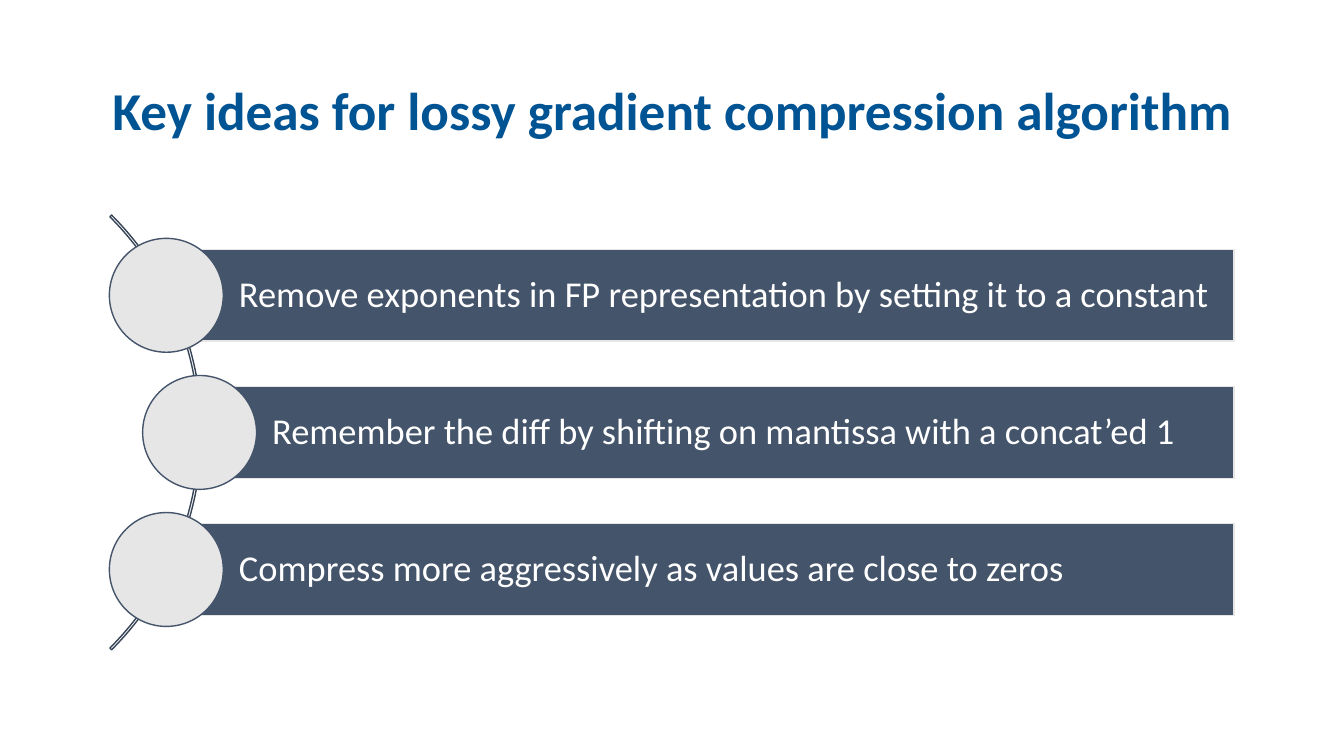
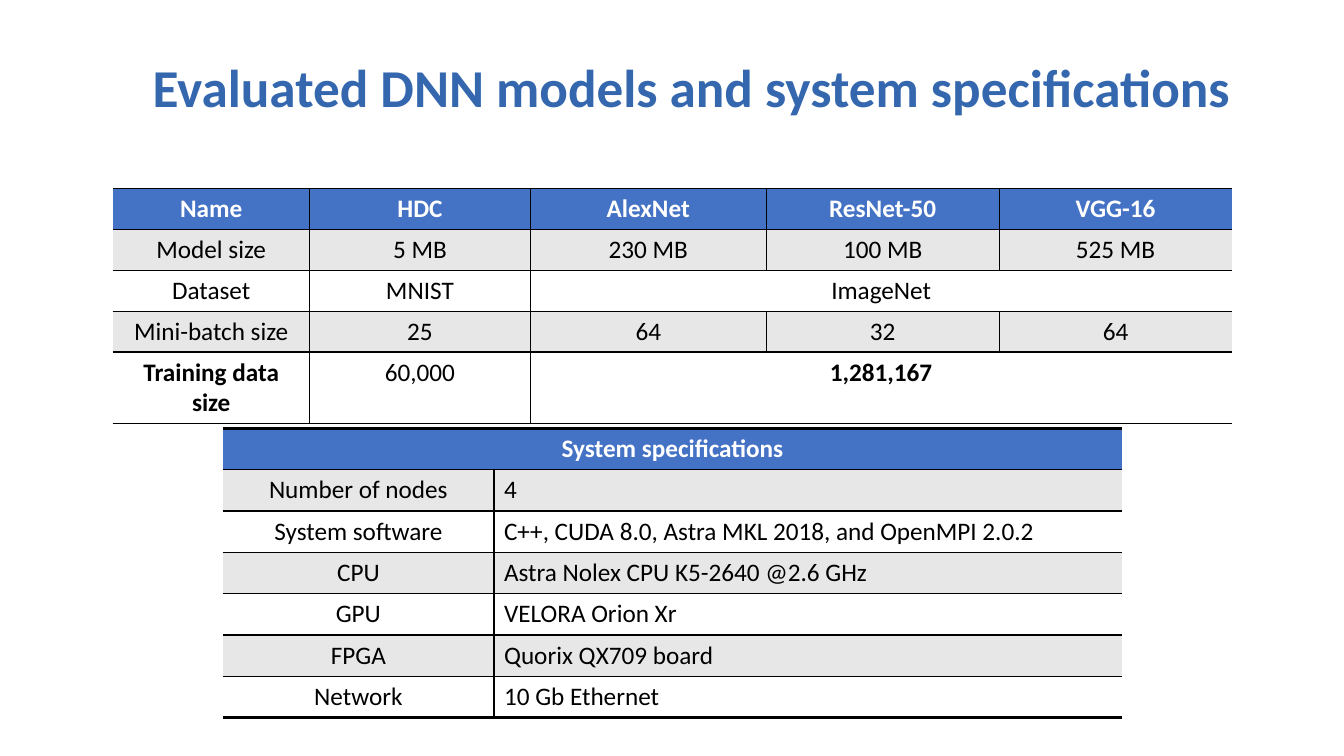
from dataclasses import dataclass

from lxml import etree
from pptx import Presentation
from pptx.dml.color import RGBColor
from pptx.enum import shapes, text
from pptx.oxml.ns import qn
from pptx.util import Inches, Pt


@dataclass(frozen=True)
class Theme:
    font: str = "Calibri"
    title_size: int = 38
    bar_size: int = 26
    table_size: int = 18
    deep_blue: str = "005493"
    mid_blue: str = "3467AE"
    header: str = "4472C4"
    slate: str = "44546A"
    arc_edge: str = "364355"
    pale: str = "E7E6E6"
    band: str = "E7E7E7"
    white: str = "FFFFFF"
    black: str = "000000"


CENTER, LEFT = text.PP_ALIGN.CENTER, text.PP_ALIGN.LEFT
MIDDLE = text.MSO_ANCHOR.MIDDLE


class Deck:
    def __init__(self, theme):
        self.theme = theme
        self.prs = Presentation()
        self.prs.slide_width, self.prs.slide_height = Inches(13.33), Inches(7.5)
        self.slide = None

    def new_slide(self, title, box, color, spacing=1.0):
        self.slide = self.prs.slides.add_slide(self.prs.slide_layouts[5])
        heading = self.slide.shapes.title
        heading.left, heading.top, heading.width, heading.height = map(Inches, box)
        frame = heading.text_frame
        frame.auto_size = text.MSO_AUTO_SIZE.NONE
        frame.word_wrap = True
        frame.vertical_anchor = MIDDLE
        self.add_words(frame, title, self.theme.title_size, color, CENTER, True, spacing)

    def add_words(self, frame, words, size, color, align=LEFT, bold=False, spacing=1.0):
        paragraph = frame.paragraphs[0]
        paragraph.alignment = align
        paragraph.line_spacing = spacing
        run = paragraph.add_run()
        run.text = words
        run.font.name = self.theme.font
        run.font.size = Pt(size)
        run.font.bold = bold
        run.font.color.rgb = RGBColor.from_string(color)

    def shape(self, kind, box, line, fill=None):
        item = self.slide.shapes.add_shape(kind, *map(Inches, box))
        item.shadow.inherit = False
        if fill:
            item.fill.solid()
            item.fill.fore_color.rgb = RGBColor.from_string(fill)
        else:
            item.fill.background()
        item.line.color.rgb = RGBColor.from_string(line)
        item.line.width = Pt(1)
        return item

    def arc(self, center_x, center_y, radius):
        box = (center_x - radius, center_y - radius, 2 * radius, 2 * radius)
        curve = self.shape(shapes.MSO_SHAPE.BLOCK_ARC, box, self.theme.arc_edge)
        for index, value in enumerate((189, 27, 0.004)):
            curve.adjustments[index] = value

    def idea(self, words, left, middle, right):
        """Draw a bar with a disc centred on its left edge."""
        theme, height, disc = self.theme, 0.91, 1.13
        bar = self.shape(shapes.MSO_SHAPE.RECTANGLE,
                         (left, middle - height / 2, right - left, height),
                         theme.pale, theme.slate)
        frame = bar.text_frame
        frame.word_wrap = True
        frame.vertical_anchor = MIDDLE
        frame.margin_left = Inches(0.72)
        frame.margin_right = frame.margin_top = frame.margin_bottom = Inches(0.07)
        self.add_words(frame, words, theme.bar_size, theme.white, spacing=0.9)
        self.shape(shapes.MSO_SHAPE.OVAL,
                   (left - disc / 2, middle - disc / 2, disc, disc),
                   theme.slate, theme.pale)

    def borders(self, cell, widths):
        """Set left, right, top and bottom widths in points; 0 hides an edge."""
        props = cell._tc.get_or_add_tcPr()
        for side, width in zip("LRTB", widths):
            edge = etree.SubElement(props, qn(f"a:ln{side}"), w=str(Pt(width)))
            if width:
                paint = etree.SubElement(edge, qn("a:solidFill"))
                etree.SubElement(paint, qn("a:srgbClr"), val=self.theme.black)
            else:
                etree.SubElement(edge, qn("a:noFill"))

    def table(self, left, top, columns, row_height, rows, align, rim=1, bold=()):
        """Draw a banded table; a short row stretches its last entry rightwards."""
        theme = self.theme
        grid = self.slide.shapes.add_table(
            len(rows), len(columns), Inches(left), Inches(top),
            Inches(sum(columns)), Inches(row_height * len(rows))).table
        grid.first_row = grid.horz_banding = False
        for column, width in zip(grid.columns, columns):
            column.width = Inches(width)
        for r, entries in enumerate(rows):
            grid.rows[r].height = Inches(row_height)
            last = len(entries) - 1
            fill = theme.header if r == 0 else (theme.white, theme.band)[r % 2]
            for c in range(len(columns)):
                cell = grid.cell(r, c)
                self.borders(cell, (int(0 < c <= last), int(c < last),
                                    rim if r == 0 else 1,
                                    rim if r == len(rows) - 1 else 1))
                cell.fill.solid()
                cell.fill.fore_color.rgb = RGBColor.from_string(fill)
            if len(entries) < len(columns):
                grid.cell(r, last).merge(grid.cell(r, len(columns) - 1))
            for c, words in enumerate(entries):
                self.add_words(grid.cell(r, c).text_frame, words, theme.table_size,
                               theme.black if r else theme.white,
                               CENTER if r == 0 or c == 0 else align,
                               r == 0 or words in bold)


def key_ideas(deck):
    deck.new_slide("Key ideas for lossy gradient compression algorithm",
                   (0.92, 0.4, 11.5, 1.45), deck.theme.deep_blue, 0.9)
    middle, pitch = 4.29, 1.36
    deck.arc(-1.05, middle, 3.05)
    ideas = (
        ("Remove exponents in FP representation by setting it to a constant", 1.65),
        ("Remember the diff by shifting on mantissa with a concat’ed 1", 1.98),
        ("Compress more aggressively as values are close to zeros", 1.65),
    )
    for index, (words, left) in enumerate(ideas):
        deck.idea(words, left, middle + (index - 1) * pitch, 12.24)


def evaluation_setup(deck):
    deck.new_slide("Evaluated DNN models and system specifications",
                   (0.4, 0.49, 12.92, 0.74), deck.theme.mid_blue)
    models = (
        ("Name", "HDC", "AlexNet", "ResNet-50", "VGG-16"),
        ("Model size", "5 MB", "230 MB", "100 MB", "525 MB"),
        ("Dataset", "MNIST", "ImageNet"),
        ("Mini-batch size", "25", "64", "32", "64"),
        ("Training data size", "60,000", "1,281,167"),
    )
    deck.table(1.12, 1.87, (1.95, 2.19, 2.34, 2.31, 2.31), 0.4, models, CENTER,
               bold=("Training data size", "1,281,167"))
    system = (
        ("System specifications",),
        ("Number of nodes", "4"),
        ("System software", "C++, CUDA 8.0, Astra MKL 2018, and OpenMPI 2.0.2"),
        ("CPU", "Astra Nolex CPU K5-2640 @2.6 GHz"),
        ("GPU", "VELORA Orion Xr"),
        ("FPGA", "Quorix QX709 board"),
        ("Network", "10 Gb Ethernet"),
    )
    deck.table(2.21, 4.25, (2.69, 6.23), 0.41, system, LEFT, rim=2)


def main():
    deck = Deck(Theme())
    key_ideas(deck)
    evaluation_setup(deck)
    deck.prs.save("out.pptx")


if __name__ == "__main__":
    main()
